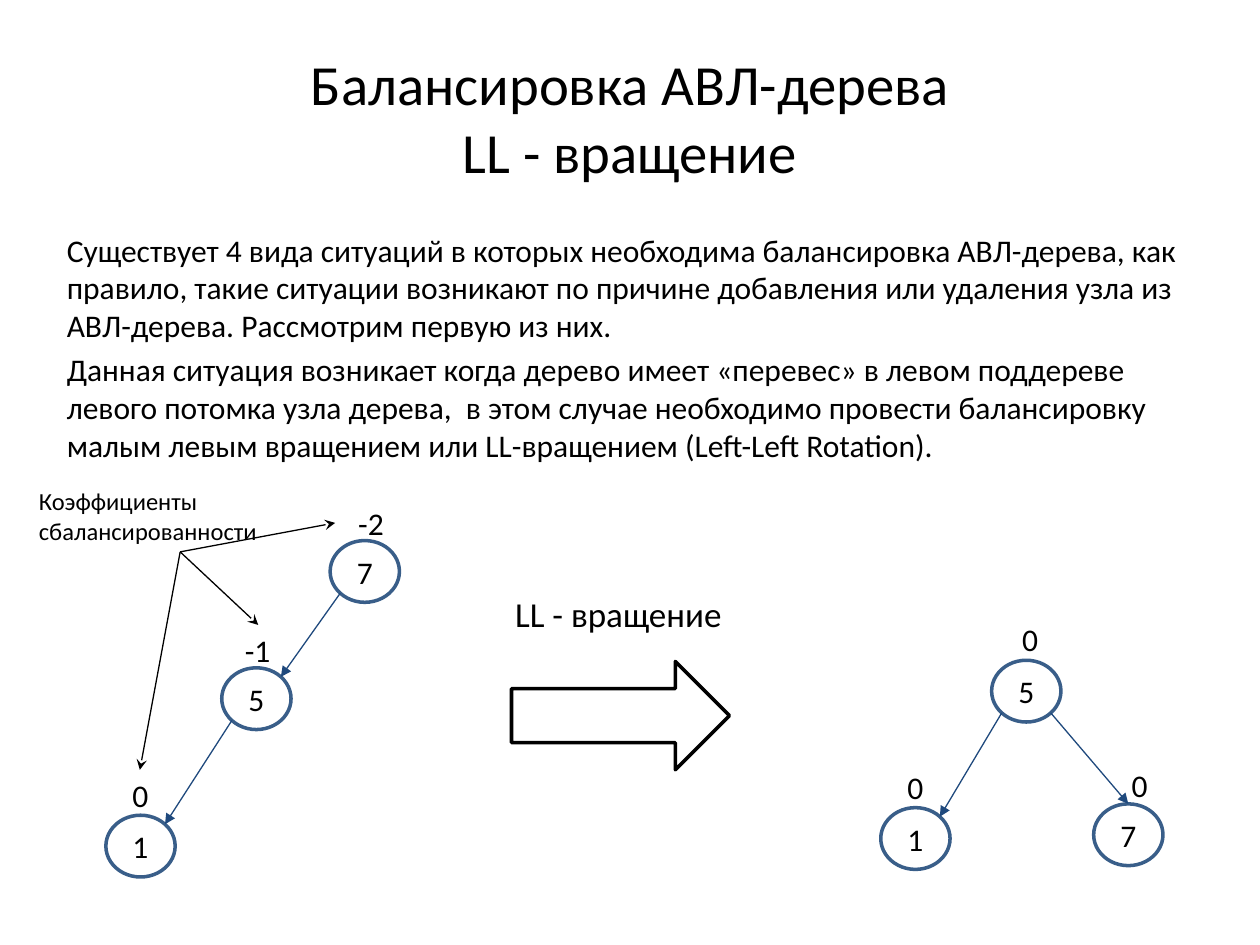
"""Build a slide that explains the LL rotation of an AVL tree."""
import math

import pptx
import pptx.dml.color
import pptx.enum.shapes
import pptx.enum.text
import pptx.oxml.ns
import pptx.util
from lxml import etree
from pptx.util import Inches

BLACK = pptx.dml.color.RGBColor(0x00, 0x00, 0x00)
NODE_BLUE = pptx.dml.color.RGBColor(0x39, 0x5E, 0x89)
EDGE_BLUE = pptx.dml.color.RGBColor(0x1F, 0x49, 0x7D)
FONT = "Calibri"
NODE_WIDTH, NODE_HEIGHT = 0.55, 0.49
CENTER = pptx.enum.text.PP_ALIGN.CENTER
SHAPES = pptx.enum.shapes.MSO_SHAPE

TITLE = "Балансировка АВЛ-дерева\vLL - вращение"
BODY = (
    "Существует 4 вида ситуаций в которых необходима балансировка АВЛ-дерева, "
    "как правило, такие ситуации возникают по причине добавления или удаления "
    "узла из АВЛ-дерева. Рассмотрим первую из них.",
    "Данная ситуация возникает когда дерево имеет «перевес» в левом поддереве "
    "левого потомка узла дерева,  в этом случае необходимо провести балансировку "
    "малым левым вращением или LL-вращением (Left-Left Rotation).",
)

# value: (node left, node top, balance, balance left, balance top)
TREE_BEFORE = {
    "7": (2.62, 4.29, "-2", 2.66, 3.95),
    "5": (1.76, 5.3, "-1", 1.76, 4.96),
    "1": (0.84, 6.47, "0", 0.83, 6.11),
}
TREE_AFTER = {
    "5": (7.87, 5.24, "0", 7.89, 4.87),
    "1": (6.99, 6.41, "0", 6.98, 6.05),
    "7": (8.68, 6.38, "0", 8.76, 6.03),
}
# parent, angle on parent, child, angle on child (degrees, clockwise from right)
EDGES_BEFORE = (("7", 135, "5", -45), ("5", 135, "1", -45))
EDGES_AFTER = (("5", 135, "1", -45), ("5", 45, "7", -90))

POINTER_START = (1.43, 4.38)
POINTER_ENDS = ((2.66, 4.15), (2.05, 4.96), (1.11, 6.11))


def place(shape, left, top, width, height):
    shape.left, shape.top = Inches(left), Inches(top)
    shape.width, shape.height = Inches(width), Inches(height)


def format_paragraph(paragraph, size, alignment=None):
    paragraph.alignment = alignment
    paragraph.font.name = FONT
    paragraph.font.size = pptx.util.Pt(size)
    paragraph.font.color.rgb = BLACK


def fill_title(title):
    place(title, 0.5, 0.3, 9, 1.25)
    title.text_frame.text = TITLE
    format_paragraph(title.text_frame.paragraphs[0], 32.4, CENTER)


def fill_body(body):
    place(body, 0.43, 1.78, 9.02, 2.05)
    body.text_frame.text = "\n".join(BODY)
    for index, paragraph in enumerate(body.text_frame.paragraphs):
        properties = paragraph._p.get_or_add_pPr()
        properties.set("marL", "0")
        properties.set("indent", "0")
        etree.SubElement(properties, pptx.oxml.ns.qn("a:buNone"))
        paragraph.space_before = pptx.util.Pt(3.6 * index)
        format_paragraph(paragraph, 18)


def add_label(shapes, text, left, top, width, height, size, alignment=None):
    label = shapes.add_textbox(*map(Inches, (left, top, width, height)))
    label.text_frame.word_wrap = True
    label.text_frame.text = text
    format_paragraph(label.text_frame.paragraphs[0], size, alignment)


def add_outline(shapes, kind, left, top, width, height, color):
    shape = shapes.add_shape(kind, *map(Inches, (left, top, width, height)))
    shape.shadow.inherit = False
    shape.fill.background()
    shape.line.color.rgb = color
    shape.line.width = pptx.util.Pt(2)
    return shape


def add_node(shapes, value, left, top):
    node = add_outline(shapes, SHAPES.OVAL, left, top, NODE_WIDTH, NODE_HEIGHT, NODE_BLUE)
    node.text_frame.text = value
    node.text_frame.vertical_anchor = pptx.enum.text.MSO_ANCHOR.MIDDLE
    format_paragraph(node.text_frame.paragraphs[0], 18, CENTER)


def add_arrow(shapes, start, end, color, head):
    arrow = shapes.add_connector(
        pptx.enum.shapes.MSO_CONNECTOR.STRAIGHT, *map(Inches, (*start, *end))
    )
    arrow.line.color.rgb = color
    arrow.line.width = pptx.util.Pt(0.75)
    line = arrow.line._get_or_add_ln()
    etree.SubElement(line, pptx.oxml.ns.qn("a:tailEnd"), type=head)
    etree.SubElement(arrow._element.spPr, pptx.oxml.ns.qn("a:effectLst"))


def rim_point(node, angle):
    left, top = node[:2]
    radians = math.radians(angle)
    return (
        left + NODE_WIDTH / 2 * (1 + math.cos(radians)),
        top + NODE_HEIGHT / 2 * (1 + math.sin(radians)),
    )


def add_tree(slide, nodes, edges):
    shapes = slide.shapes.add_group_shape().shapes
    for value, (left, top, balance, label_left, label_top) in nodes.items():
        add_node(shapes, value, left, top)
        add_label(shapes, balance, label_left, label_top, 0.57, 0.4, 18, CENTER)
    for parent, parent_angle, child, child_angle in edges:
        start = rim_point(nodes[parent], parent_angle)
        end = rim_point(nodes[child], child_angle)
        add_arrow(shapes, start, end, EDGE_BLUE, "triangle")


def add_rotation(slide):
    shapes = slide.shapes.add_group_shape().shapes
    add_label(shapes, "LL - вращение", 3.99, 4.65, 1.96, 0.44, 20)
    add_outline(shapes, SHAPES.RIGHT_ARROW, 4.06, 5.25, 1.73, 0.86, BLACK)


def main():
    presentation = pptx.Presentation()
    presentation.slide_width, presentation.slide_height = Inches(10), Inches(7.5)
    slide = presentation.slides.add_slide(presentation.slide_layouts[1])
    fill_title(slide.shapes.title)
    fill_body(slide.placeholders[1])
    add_tree(slide, TREE_BEFORE, EDGES_BEFORE)
    add_tree(slide, TREE_AFTER, EDGES_AFTER)
    add_label(slide.shapes, "Коэффициенты сбалансированности", 0.21, 3.81, 2.45, 0.57, 14)
    for end in POINTER_ENDS:
        add_arrow(slide.shapes, POINTER_START, end, BLACK, "stealth")
    add_rotation(slide)
    presentation.save("out.pptx")


if __name__ == "__main__":
    main()
